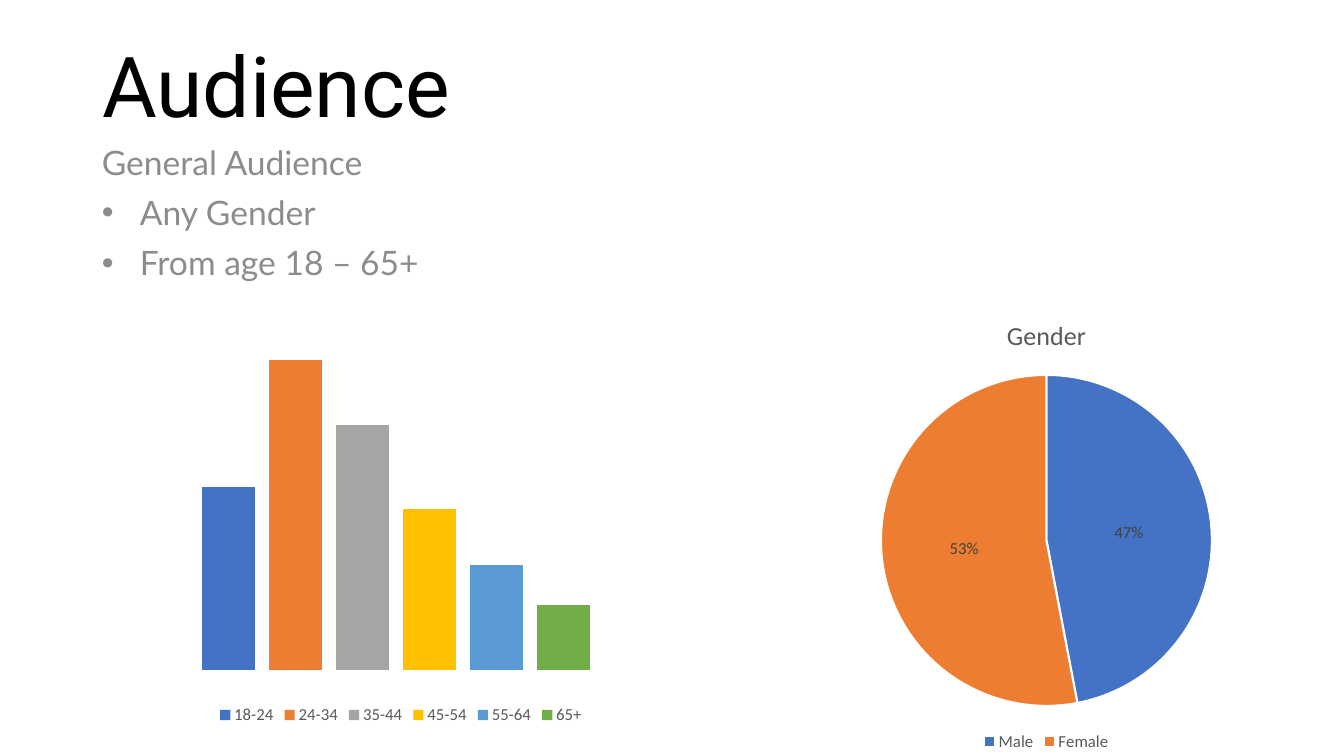
from lxml.etree import SubElement
from pptx import Presentation
from pptx.chart.data import CategoryChartData
from pptx.dml.color import RGBColor
from pptx.enum.chart import XL_CHART_TYPE, XL_LABEL_POSITION, XL_LEGEND_POSITION
from pptx.enum.text import MSO_ANCHOR, MSO_AUTO_SIZE, PP_ALIGN
from pptx.oxml import parse_xml
from pptx.oxml.ns import nsdecls, qn
from pptx.util import Pt

PX = 914400 / 100.8
COLORS = {
    "black": "000000", "white": "FFFFFF", "body": "8C8C8C",
    "legend": "595959", "label": "404040",
    "blue": "4472C4", "orange": "ED7D31", "gray": "A5A5A5",
    "gold": "FFC000", "sky": "5B9BD5", "green": "70AD47",
}
AGES = [
    ("18-24", 59, "blue"), ("24-34", 100, "orange"), ("35-44", 79, "gray"),
    ("45-54", 52, "gold"), ("55-64", 34, "sky"), ("65+", 21, "green"),
]
GENDERS = [("Male", 47, "blue"), ("Female", 53, "orange")]


def px(n):
    """Turn pixels into EMU."""
    return round(n * PX)


def rgb(name):
    """Look up a named colour."""
    return RGBColor.from_string(COLORS[name])


def style_font(font, size, color, face="Calibri"):
    """Set the size, colour and face of a font."""
    font.size = Pt(size)
    font.name = face
    font.bold = False
    font.color.rgb = rgb(color)


def write(p, text, size, color, face, before=0, bullet=False):
    """Write one formatted paragraph."""
    p.alignment = PP_ALIGN.LEFT
    p.line_spacing = 0.9
    p.space_before = Pt(before)
    if bullet:
        pPr = p._p.get_or_add_pPr()
        pPr.set("marL", str(px(38)))
        pPr.set("indent", str(px(-38)))
        SubElement(pPr, qn("a:buFont")).set("typeface", "Arial")
        SubElement(pPr, qn("a:buChar")).set("char", "•")
    r = p.add_run()
    r.text = text
    style_font(r.font, size, color, face)


class AudienceSlide:
    """Hold the style and the current slide."""

    def __init__(self, prs):
        """Add a title-only slide."""
        self.s = prs.slides.add_slide(prs.slide_layouts[5])

    def title(self, text, x, y, w, h):
        """Place and format the title placeholder."""
        sp = self.s.shapes.title
        sp.left, sp.top, sp.width, sp.height = map(px, (x, y, w, h))
        tf = sp.text_frame
        tf.auto_size = MSO_AUTO_SIZE.NONE
        tf.vertical_anchor = MSO_ANCHOR.BOTTOM
        write(tf.paragraphs[0], text, 60, "black", "Roboto")

    def body(self, heading, bullets, x, y, w, h):
        """Add a heading line with bullets below it."""
        tf = self.s.shapes.add_textbox(*map(px, (x, y, w, h))).text_frame
        tf.word_wrap = True
        write(tf.paragraphs[0], heading, 24, "body", "Lato")
        for text in bullets:
            write(tf.add_paragraph(), text, 24, "body", "Lato", before=10, bullet=True)

    def chart(self, kind, data, box, plot_box):
        """Add a chart with a bottom legend and a fixed plot area."""
        chart = self.s.shapes.add_chart(kind, *map(px, box), data).chart
        style_font(chart.font, 10, "black")
        chart.has_title = False
        chart.has_legend = True
        chart.legend.position = XL_LEGEND_POSITION.BOTTOM
        chart.legend.include_in_layout = False
        style_font(chart.legend.font, 12, "legend")
        area = chart._chartSpace.chart.plotArea
        for old in area.findall(qn("c:layout")):
            area.remove(old)
        left, top, width, height = box
        x, y, w, h = plot_box
        sizes = {"x": (x - left) / width, "y": (y - top) / height,
                 "w": w / width, "h": h / height}
        modes = "".join(f'<c:{k}Mode val="edge"/>' for k in "xy")
        values = "".join(f'<c:{k} val="{v:.4f}"/>' for k, v in sizes.items())
        area.insert(0, parse_xml(
            f'<c:layout {nsdecls("c")}><c:manualLayout><c:layoutTarget val="inner"/>'
            f'{modes}{values}</c:manualLayout></c:layout>'))
        return chart

    def pie(self, title, rows, box, plot_box):
        """Add a pie chart with percent labels."""
        data = CategoryChartData()
        data.categories = [name for name, _, _ in rows]
        data.add_series("Series 1", [value for _, value, _ in rows])
        chart = self.chart(XL_CHART_TYPE.PIE, data, box, plot_box)
        chart.has_title = True
        p = chart.chart_title.text_frame.paragraphs[0]
        r = p.add_run()
        r.text = title
        style_font(r.font, 18.6, "legend")
        plot = chart.plots[0]
        plot.vary_by_categories = True
        for i, (_, _, color) in enumerate(rows):
            fmt = plot.series[0].points[i].format
            fmt.fill.solid()
            fmt.fill.fore_color.rgb = rgb(color)
            fmt.line.color.rgb = rgb("white")
            fmt.line.width = Pt(1.5)
        plot.has_data_labels = True
        labels = plot.data_labels
        labels.show_value = False
        labels.show_percentage = True
        labels.number_format = "0%"
        labels.number_format_is_linked = False
        labels.position = XL_LABEL_POSITION.CENTER
        style_font(labels.font, 12, "label")

    def columns(self, rows, box, plot_box):
        """Add a column chart with one series per row and hidden axes."""
        data = CategoryChartData()
        data.categories = ["1"]
        for name, value, _ in rows:
            data.add_series(name, [value])
        chart = self.chart(XL_CHART_TYPE.COLUMN_CLUSTERED, data, box, plot_box)
        plot = chart.plots[0]
        plot.vary_by_categories = False
        plot.gap_width = 219
        plot.overlap = -27
        for series, (_, _, color) in zip(plot.series, rows):
            series.format.fill.solid()
            series.format.fill.fore_color.rgb = rgb(color)
        axis = chart.value_axis
        axis.minimum_scale, axis.maximum_scale = 0, 120
        axis.has_major_gridlines = False
        axis.visible = False
        chart.category_axis.visible = False


def main():
    """Build and save the slide."""
    prs = Presentation()
    prs.slide_width, prs.slide_height = px(1344), px(756)
    slide = AudienceSlide(prs)
    slide.title("Audience", 92, 0, 998, 141)
    slide.body("General Audience", ["Any Gender", "From age 18 – 65+"], 92, 141, 998, 530)
    slide.pie("Gender", GENDERS, (749, 298, 595, 458), (881, 375, 331, 331))
    slide.columns(AGES, (143, 271, 516, 458), (144, 298, 504, 372))
    prs.save("out.pptx")


if __name__ == "__main__":
    main()
